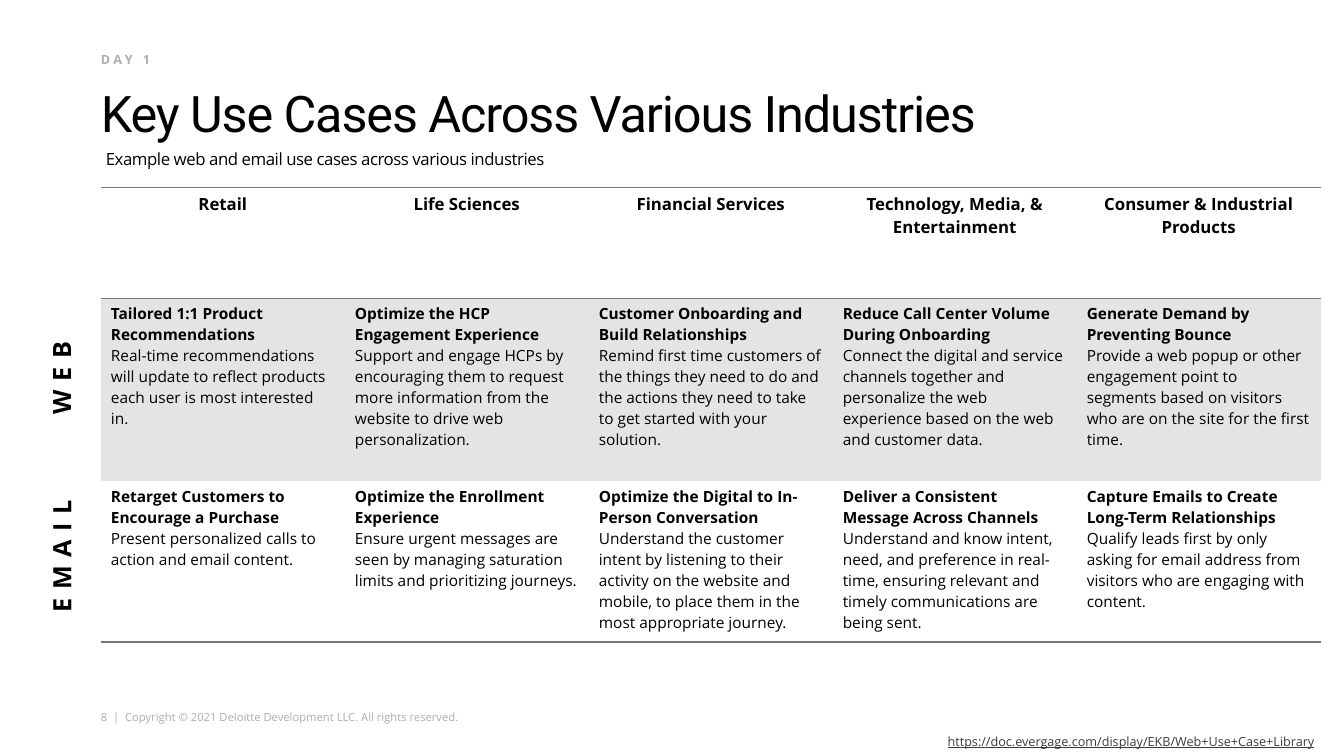
from dataclasses import dataclass

from lxml.etree import SubElement
from pptx import Presentation
from pptx.dml.color import RGBColor
from pptx.enum.text import MSO_ANCHOR, PP_ALIGN
from pptx.oxml.ns import qn
from pptx.util import Pt

EMU_PER_PX = 9144  # 100 px to the inch
COLORS = {
    "text": "000000",
    "muted": "AEAEAE",
    "link": "3C3C3C",
    "rule": "787878",
    "band": "E4E4E4",
}
BODY_FONT = "Open Sans"
TABLE_LEFT, TABLE_TOP = 100, 186
COLUMN_WIDTH = 242
ROW_HEIGHTS = [110, 181, 160]
RULED_SIDES = [("lnT", "lnB"), ("lnT",), ("lnB",)]


@dataclass(frozen=True)
class UseCase:
    heading: str
    detail: str


@dataclass(frozen=True)
class Industry:
    name: str
    web: UseCase
    email: UseCase


@dataclass(frozen=True)
class SideLabel:
    text: str
    left: int
    top: int
    width: int


INDUSTRIES = [
    Industry(
        "Retail",
        UseCase("Tailored 1:1 Product Recommendations",
                "Real-time recommendations will update to reflect products each user is "
                "most interested in."),
        UseCase("Retarget Customers to Encourage a Purchase",
                "Present personalized calls to action and email content."),
    ),
    Industry(
        "Life Sciences",
        UseCase("Optimize the HCP Engagement Experience",
                "Support and engage HCPs by encouraging them to request more information "
                "from the website to drive web personalization."),
        UseCase("Optimize the Enrollment Experience",
                "Ensure urgent messages are seen by managing saturation limits and "
                "prioritizing journeys."),
    ),
    Industry(
        "Financial Services",
        UseCase("Customer Onboarding and Build Relationships",
                "Remind first time customers of the things they need to do and the actions "
                "they need to take to get started with your solution."),
        UseCase("Optimize the Digital to In-Person Conversation",
                "Understand the customer intent by listening to their activity on the "
                "website and mobile, to place them in the most appropriate journey."),
    ),
    Industry(
        "Technology, Media, & Entertainment",
        UseCase("Reduce Call Center Volume During Onboarding",
                "Connect the digital and service channels together and personalize the web "
                "experience based on the web and customer data."),
        UseCase("Deliver a Consistent Message Across Channels",
                "Understand and know intent, need, and preference in real-time, ensuring "
                "relevant and timely communications are being sent."),
    ),
    Industry(
        "Consumer & Industrial Products",
        UseCase("Generate Demand by Preventing Bounce",
                "Provide a web popup or other engagement point to segments based on "
                "visitors who are on the site for the first time."),
        UseCase("Capture Emails to Create Long-Term Relationships",
                "Qualify leads first by only asking for email address from visitors who "
                "are engaging with content."),
    ),
]
SIDE_LABELS = [SideLabel("WEB", 6, 355, 109), SideLabel("EMAIL", -9, 532, 140)]


def px(length: int) -> int:
    return length * EMU_PER_PX


def write(paragraph, text: str, *, size: float, color: str = "text", font: str = BODY_FONT,
          bold: bool = False, underline: bool = False, spacing: int = 0,
          align: PP_ALIGN = PP_ALIGN.LEFT) -> None:
    """Fill a paragraph with one run; spacing is in hundredths of a point."""
    paragraph.alignment = align
    run = paragraph.add_run()
    run.text = text
    run.font.name = font
    run.font.size = Pt(size)
    run.font.bold = bold
    run.font.underline = underline
    run.font.color.rgb = RGBColor.from_string(COLORS[color])
    if spacing:
        run.font._element.set("spc", str(spacing))


def add_text(slide, text: str, left: int, top: int, width: int, height: int, *,
             inset: bool = False, wrap: bool = True, **text_format):
    shape = slide.shapes.add_textbox(px(left), px(top), px(width), px(height))
    frame = shape.text_frame
    frame.word_wrap = wrap
    if not inset:
        frame.margin_left = frame.margin_right = frame.margin_top = frame.margin_bottom = 0
    write(frame.paragraphs[0], text, **text_format)
    return shape


def style_cell(cell, row: int) -> None:
    """Rule the sides named for this row, clear the others and set the fill."""
    properties = cell._tc.get_or_add_tcPr()
    for side in ("lnL", "lnR", "lnT", "lnB"):
        line = SubElement(properties, qn(f"a:{side}"), w=str(Pt(1)))
        if side in RULED_SIDES[row]:
            fill = SubElement(line, qn("a:solidFill"))
            SubElement(fill, qn("a:srgbClr"), val=COLORS["rule"])
        else:
            SubElement(line, qn("a:noFill"))
    if row == 1:
        cell.fill.solid()
        cell.fill.fore_color.rgb = RGBColor.from_string(COLORS["band"])
    else:
        cell.fill.background()


def add_use_case_table(slide) -> None:
    table = slide.shapes.add_table(
        len(ROW_HEIGHTS), len(INDUSTRIES), px(TABLE_LEFT), px(TABLE_TOP),
        px(COLUMN_WIDTH * len(INDUSTRIES)), px(sum(ROW_HEIGHTS))).table
    table.first_row = table.horz_banding = False
    for row, height in zip(table.rows, ROW_HEIGHTS):
        row.height = px(height)
    for column, industry in enumerate(INDUSTRIES):
        table.columns[column].width = px(COLUMN_WIDTH)
        for row in range(len(ROW_HEIGHTS)):
            style_cell(table.cell(row, column), row)
        write(table.cell(0, column).text_frame.paragraphs[0], industry.name,
              size=12, bold=True, align=PP_ALIGN.CENTER)
        for row, use_case in enumerate((industry.web, industry.email), start=1):
            frame = table.cell(row, column).text_frame
            write(frame.paragraphs[0], use_case.heading, size=11, bold=True)
            write(frame.add_paragraph(), use_case.detail, size=11)


def main() -> None:
    presentation = Presentation()
    presentation.slide_width, presentation.slide_height = px(1333), px(750)
    slide = presentation.slides.add_slide(presentation.slide_layouts[6])

    add_text(slide, "8  |  Copyright © 2021 Deloitte Development LLC. All rights reserved.",
             100, 705, 366, 13, wrap=False, size=8, color="muted")
    title = add_text(slide, "Key Use Cases Across Various Industries", 100, 76, 1133, 65,
                     size=36, font="Roboto", spacing=-80)
    title.text_frame.margin_top = px(5)
    title.text_frame.vertical_anchor = MSO_ANCHOR.BOTTOM
    title.text_frame.paragraphs[0].line_spacing = 0.8
    add_text(slide, "Example web and email use cases across various industries",
             105, 148, 1133, 52, size=12, spacing=-30)
    add_text(slide, "DAY 1", 100, 51, 367, 22, size=9, color="muted", bold=True, spacing=250)
    add_text(slide, "https://doc.evergage.com/display/EKB/Web+Use+Case+Library",
             930, 723, 401, 25, inset=True, size=9, color="link", underline=True)
    add_use_case_table(slide)
    for label in SIDE_LABELS:
        shape = add_text(slide, label.text, label.left, label.top, label.width, 40, inset=True,
                         size=18, bold=True, spacing=600, align=PP_ALIGN.CENTER)
        shape.rotation = 270

    presentation.save("out.pptx")


if __name__ == "__main__":
    main()
